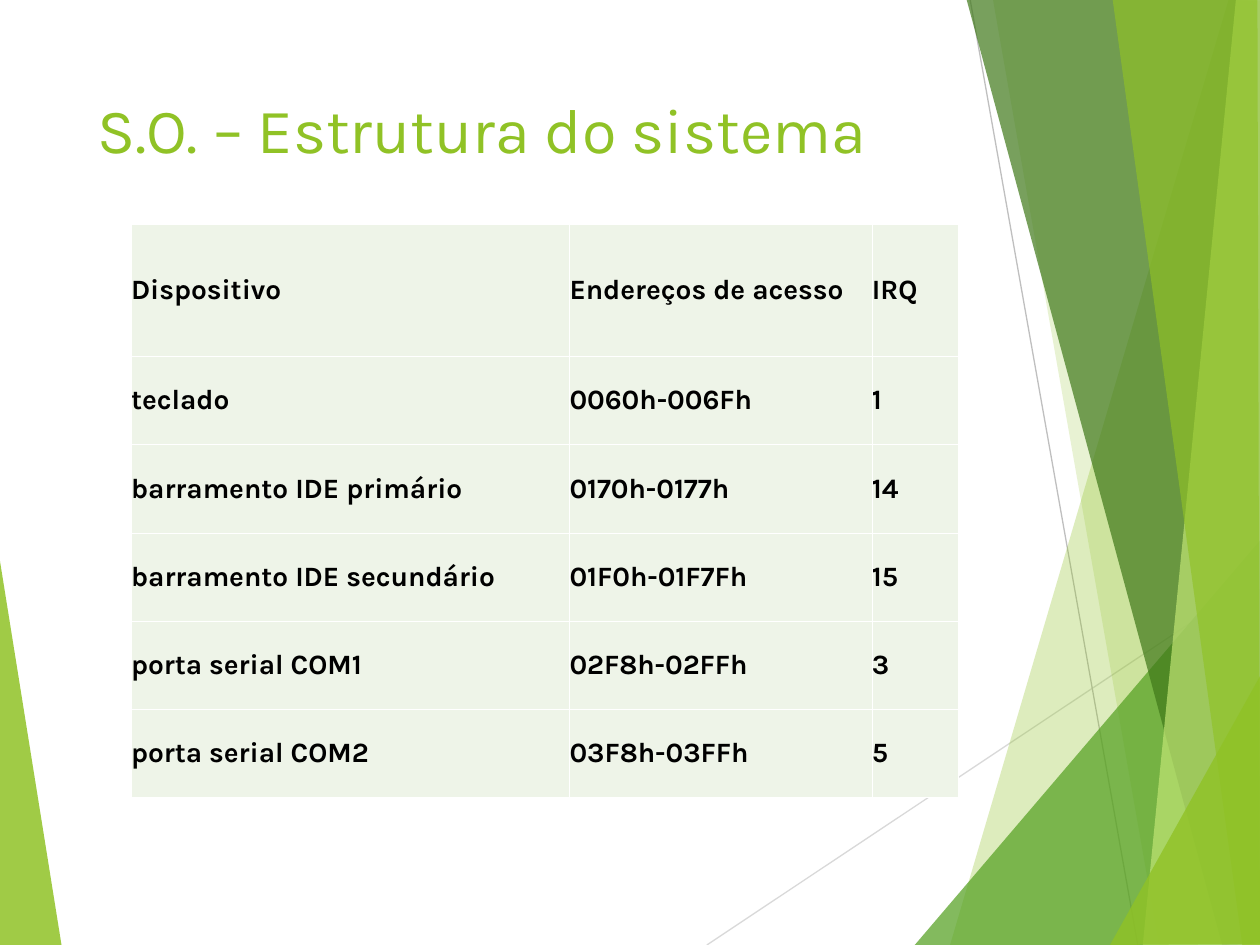
from lxml.etree import SubElement
from pptx import Presentation
from pptx.dml.color import RGBColor as Rgb
from pptx.enum.shapes import MSO_CONNECTOR as Connector
from pptx.enum.text import MSO_ANCHOR as Anchor, PP_ALIGN as Align
from pptx.oxml.ns import qn
from pptx.util import Inches, Pt

COLORS = {
    "lime": "90C226",
    "green": "54A021",
    "forest": "3F7819",
    "pale": "C0E474",
    "cell": "EEF4E8",
    "white": "FFFFFF",
    "black": "000000",
    "light_gray": "D9D9D9",
    "gray": "BFBFBF",
}

LINES = [
    ((5.61, 7.5), (10.01, 4.57), "light_gray"),
    ((7.7, 0), (9.03, 7.5), "gray"),
]

LEFT_FACET = ([(-0.01, 4.39), (0.49, 7.51), (-0.01, 7.5)], "lime", 85)
RIGHT_FACETS = [
    ([(9.75, 0), (7.54, 7.5), (10.02, 7.51), (10.01, 0.01)], "lime", 30),
    ([(7.88, -0.01), (9.2, 7.5), (10.01, 7.5), (10.01, -0.01)], "lime", 20),
    ([(7.26, 7.5), (10, 4.29), (10.01, 7.5)], "green", 72),
    ([(7.67, -0.01), (9.7, 7.5), (10.01, 7.49), (10.01, -0.01)], "forest", 70),
    ([(9.81, -0.01), (9.07, 7.5), (10.01, 7.5), (10, -0.01)], "pale", 70),
    ([(8.83, -0.01), (9.86, 7.5), (10, 7.5), (9.98, -0.01)], "lime", 65),
    ([(8.81, 7.5), (10.01, 5.35), (10.01, 7.49)], "lime", 80),
]

DEVICES = [
    ("Dispositivo", "Endereços de acesso", "IRQ"),
    ("teclado", "0060h-006Fh", "1"),
    ("barramento IDE primário", "0170h-0177h", "14"),
    ("barramento IDE secundário", "01F0h-01F7Fh", "15"),
    ("porta serial COM1", "02F8h-02FFh", "3"),
    ("porta serial COM2", "03F8h-03FFh", "5"),
]
COLUMN_WIDTHS = [3.48, 2.4, 0.69]
ROW_HEIGHTS = [1.05] + [0.7] * 5


def set_all(target, values):
    for name, value in values.items():
        setattr(target, name, value)


class SlideBuilder:
    title_font = {"name": "Karla", "size": Pt(36), "bold": False}
    cell_font = {"name": "Karla", "size": Pt(16), "bold": True}
    cell_format = {
        "vertical_anchor": Anchor.MIDDLE,
        "margin_left": 0,
        "margin_right": 0,
        "margin_top": Inches(0.05),
        "margin_bottom": Inches(0.05),
    }

    def __init__(self, page):
        self.page = page

    def color(self, name):
        return Rgb.from_string(COLORS[name])

    def add_span(self, para, text, font, color):
        span = para.add_run()
        span.text = text
        set_all(span.font, font)
        span.font.color.rgb = self.color(color)

    def line(self, start, end, color):
        ends = [Inches(value) for value in start + end]
        line = self.page.shapes.add_connector(Connector.STRAIGHT, *ends)
        line.line.color.rgb = self.color(color)
        line.line.width = Pt(0.75)
        SubElement(line.element.spPr, qn("a:effectLst"))

    def facet(self, points, color, opacity):
        corners = [(Inches(x), Inches(y)) for x, y in points]
        builder = self.page.shapes.build_freeform(*corners[0])
        builder.add_line_segments(corners[1:], close=True)
        shape = builder.convert_to_shape()
        shape.shadow.inherit = False
        shape.line.fill.background()
        shape.fill.solid()
        shape.fill.fore_color.rgb = self.color(color)
        tint = shape.element.spPr.find(qn("a:solidFill"))[0]
        SubElement(tint, qn("a:alpha"), val=str(opacity * 1000))

    def title(self, text, left, top, width, height):
        box = self.page.shapes.title
        set_all(box, {
            "left": Inches(left),
            "top": Inches(top),
            "width": Inches(width),
            "height": Inches(height),
        })
        set_all(box.text_frame, {"vertical_anchor": Anchor.TOP, "word_wrap": True})
        para = box.text_frame.paragraphs[0]
        para.alignment = Align.LEFT
        self.add_span(para, text, self.title_font, "lime")
        self.page.shapes.element.append(box.element)

    def borders(self, cell, color, width):
        properties = cell._tc.get_or_add_tcPr()
        for side in ("lnL", "lnR", "lnT", "lnB"):
            edge = SubElement(properties, qn(f"a:{side}"), w=str(Pt(width)))
            fill = SubElement(edge, qn("a:solidFill"))
            SubElement(fill, qn("a:srgbClr"), val=COLORS[color])

    def table(self, rows, left, top, widths, heights):
        size = (Inches(sum(widths)), Inches(sum(heights)))
        frame = self.page.shapes.add_table(
            len(rows), len(widths), Inches(left), Inches(top), *size)
        table = frame.table
        for column, width in zip(table.columns, widths):
            column.width = Inches(width)
        for row, height, texts in zip(table.rows, heights, rows):
            row.height = Inches(height)
            for cell, text in zip(row.cells, texts):
                set_all(cell, self.cell_format)
                self.borders(cell, "white", 0.45)
                cell.fill.solid()
                cell.fill.fore_color.rgb = self.color("cell")
                para = cell.text_frame.paragraphs[0]
                para.alignment = Align.JUSTIFY
                self.add_span(para, text, self.cell_font, "black")


def main():
    deck = Presentation()
    deck.slide_width, deck.slide_height = Inches(10), Inches(7.5)
    slide = SlideBuilder(deck.slides.add_slide(deck.slide_layouts[5]))
    slide.facet(*LEFT_FACET)
    for line in LINES:
        slide.line(*line)
    for facet in RIGHT_FACETS:
        slide.facet(*facet)
    slide.title("S.O. – Estrutura do sistema", 0.67, 0.67, 6.94, 1.44)
    slide.table(DEVICES, 1.04, 1.78, COLUMN_WIDTHS, ROW_HEIGHTS)
    deck.save("out.pptx")


if __name__ == "__main__":
    main()
